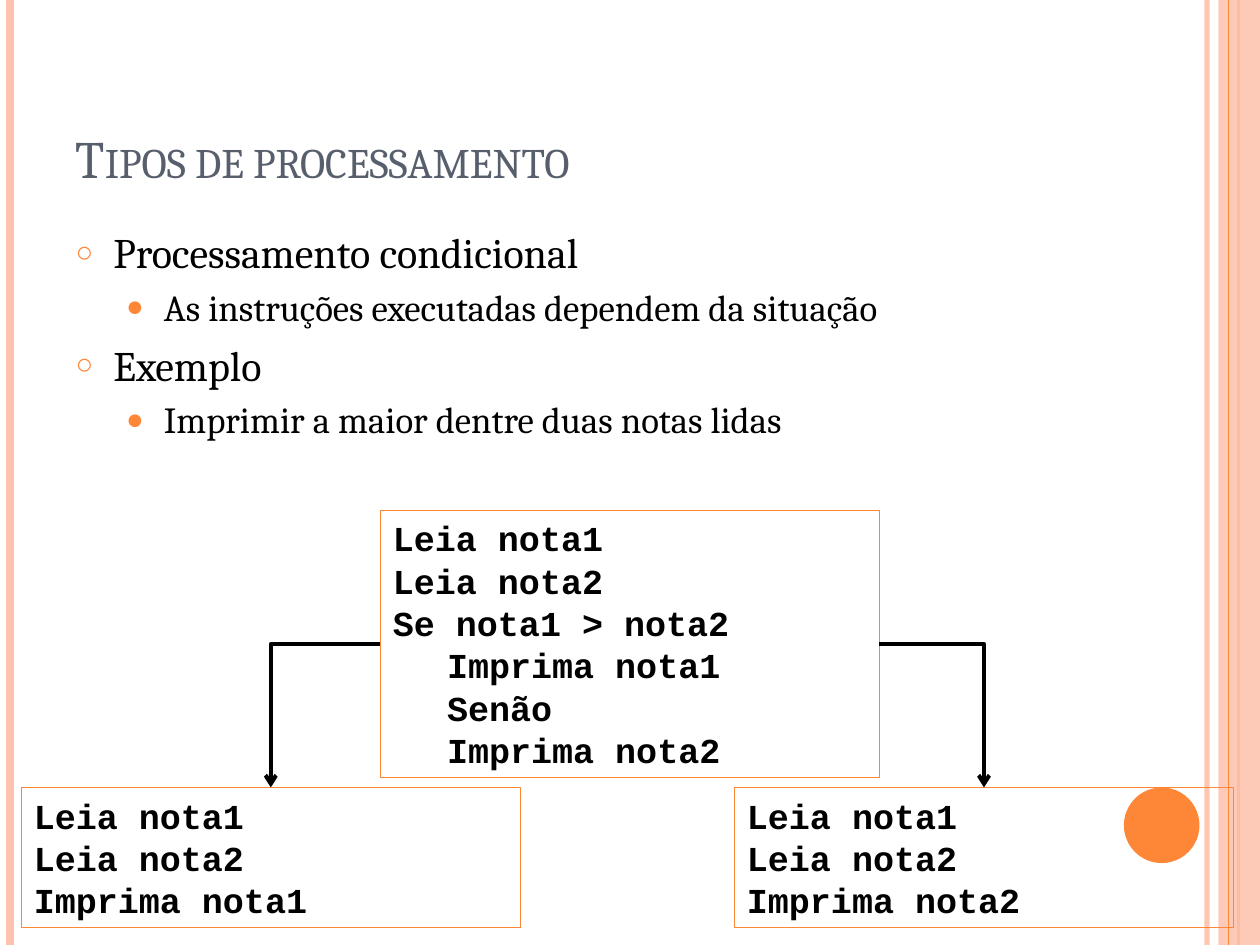
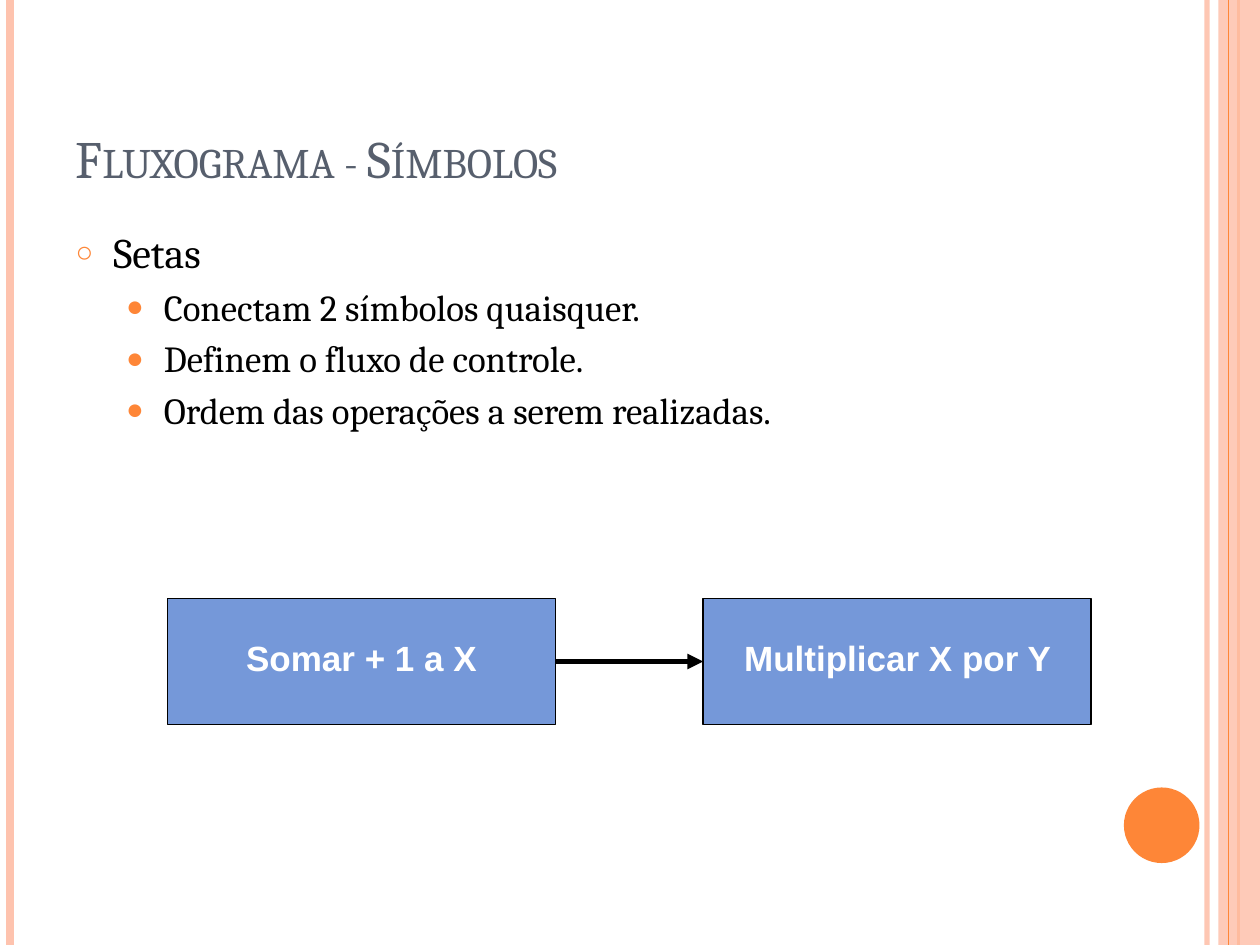
from dataclasses import dataclass
from pptx import Presentation
from pptx import util as u
from pptx.dml import color
from pptx.enum import shapes, text
from pptx.oxml import ns, xmlchemy

Inches, Pt = u.Inches, u.Pt


@dataclass(frozen=True)
class Theme:
    peach: str = "FEC3AE"
    orange: str = "FE8637"
    slate: str = "575F6D"
    blue: str = "7598D9"
    black: str = "000000"
    white: str = "FFFFFF"
    serif: str = "Cambria"
    sans: str = "Arial"
    mono: str = "Courier New"
    title: int = 30
    item: int = 24
    sub: int = 21
    code: int = 20
    pitch: float = 24.2


T = Theme()
BULLETS = (("○", 70000, 0.3), ("●", 80000, 0.7))
CODE_W = 3.96


def rgb(tone):
    return color.RGBColor.from_string(tone)


def add(node, tag, **attrs):
    child = xmlchemy.OxmlElement(tag)
    for name, value in attrs.items():
        child.set(name, str(value))
    node.append(child)
    return child


def fade(shape, percent):
    tone = next(shape.element.spPr.iter(ns.qn("a:srgbClr")))
    add(tone, "a:alpha", val=percent * 1000)


def style(para, face, size, tone, bold=False):
    for run in para.runs:
        font = run.font
        font.name, font.size, font.bold = face, Pt(size), bold
        font.color.rgb = rgb(tone)


def box(slide, kind, area, fill=None, edge=None):
    shape = slide.shapes.add_shape(kind, *map(Inches, area))
    shape.shadow.inherit = False
    if fill:
        shape.fill.solid()
        shape.fill.fore_color.rgb = rgb(fill)
    else:
        shape.fill.background()
    if edge:
        shape.line.color.rgb = rgb(edge)
        shape.line.width = Pt(0.75)
    else:
        shape.line.fill.background()
    return shape


def line(slide, kind, ends, tone, width):
    link = slide.shapes.add_connector(kind, *map(Inches, ends))
    link.line.color.rgb = rgb(tone)
    link.line.width = Pt(width)
    add(link.element.spPr, "a:effectLst")
    return link


def arrow(slide, start, site, end, goal, width, head, bent=False):
    kinds = shapes.MSO_CONNECTOR
    kind = kinds.ELBOW if bent else kinds.STRAIGHT
    link = line(slide, kind, (0, 0, 1, 1), T.black, width)
    link.begin_connect(start, site)
    link.end_connect(end, goal)
    if bent:
        link.element.spPr.find(ns.qn("a:prstGeom")).set("prst", "bentConnector2")
    add(link.line._get_or_add_ln(), "a:tailEnd", type=head)


def place(shape, area):
    shape.left, shape.top, shape.width, shape.height = map(Inches, area)


def decor(slide, layout):
    kinds = shapes.MSO_SHAPE
    rules = [
        line(slide, shapes.MSO_CONNECTOR.STRAIGHT, (x, 0, x, 7.5), tone, width)
        for x, tone, width in (
            (9.58, T.peach, 3),
            (0.08, T.peach, 4.5),
            (9.83, T.orange, 1.5),
            (9.75, T.orange, 0.75),
        )
    ]
    band = box(slide, kinds.RECTANGLE, (9.67, 0, 0.33, 7.5), T.peach)
    disc = box(slide, kinds.OVAL, (8.92, 6.25, 0.6, 0.6), T.orange)
    fade(rules[0], 93)
    fade(band, 87)
    tree = layout.shapes.element
    for at, part in enumerate([*rules[:3], band, rules[3], disc], 2):
        tree.insert(at, part.element)


def frame(layout):
    for holder in list(layout.placeholders):
        if holder.placeholder_format.idx > 1:
            holder.element.getparent().remove(holder.element)
    head, body = layout.placeholders
    place(head, (0.5, 0.3, 8.17, 1.25))
    place(body, (0.5, 1.75, 8.17, 5.33))


def heading(slide, words):
    area = slide.shapes.title.text_frame
    area.text = words
    area.auto_size = text.MSO_AUTO_SIZE.NONE
    area.vertical_anchor = text.MSO_ANCHOR.BOTTOM
    para = area.paragraphs[0]
    para.alignment = text.PP_ALIGN.LEFT
    style(para, T.serif, T.title, T.slate)
    para.runs[0].font._element.set("cap", "small")


def bullets(slide, items):
    area = slide.placeholders[1].text_frame
    area.text = "\n".join(words for _, words in items)
    area.auto_size = text.MSO_AUTO_SIZE.NONE
    for para, (level, _) in zip(area.paragraphs, items):
        para.level = level
        if level == 0:
            para.space_before = Pt(6)
        style(para, T.serif, T.sub if level else T.item, T.black)
        mark, size, margin = BULLETS[level]
        props = para._p.get_or_add_pPr()
        props.set("marL", str(Inches(margin)))
        props.set("indent", str(Inches(-0.3)))
        add(add(props, "a:buClr"), "a:srgbClr", val=T.orange)
        add(props, "a:buSzPct", val=size)
        add(props, "a:buFont", typeface=T.sans)
        add(props, "a:buChar", char=mark)


def code(slide, x, y, height, rows):
    shape = box(slide, shapes.MSO_SHAPE.RECTANGLE, (x, y, CODE_W, height), edge=T.orange)
    area = shape.text_frame
    area.text = "\n".join(words for _, words in rows)
    area.vertical_anchor = text.MSO_ANCHOR.TOP
    for para, (level, _) in zip(area.paragraphs, rows):
        para.alignment = text.PP_ALIGN.LEFT
        para.line_spacing = Pt(T.pitch)
        style(para, T.mono, T.code, T.black, True)
        if level:
            para._p.get_or_add_pPr().set("marL", str(Inches(0.43)))
    return shape


def label(slide, area, words):
    note = slide.shapes.add_textbox(*map(Inches, area)).text_frame
    note.word_wrap = True
    note.text = words
    para = note.paragraphs[0]
    para.alignment = text.PP_ALIGN.CENTER
    style(para, T.sans, T.code, T.white, True)


def types(slide):
    heading(slide, "Tipos de processamento")
    bullets(slide, [
        (0, "Processamento condicional"),
        (1, "As instruções executadas dependem da situação"),
        (0, "Exemplo"),
        (1, "Imprimir a maior dentre duas notas lidas"),
    ])
    reads = [(0, "Leia nota1"), (0, "Leia nota2")]
    test = code(slide, 3.02, 4.05, 2.12, reads + [
        (0, "Se nota1 > nota2"),
        (1, "Imprima nota1"),
        (1, "Senão"),
        (1, "Imprima nota2"),
    ])
    for x, site, words in ((5.83, 3, "Imprima nota2"), (0.17, 1, "Imprima nota1")):
        case = code(slide, x, 6.25, 1.11, reads + [(0, words)])
        arrow(slide, test, site, case, 0, 2.25, "arrow", bent=True)


def symbols(slide):
    heading(slide, "Fluxograma - Símbolos")
    bullets(slide, [
        (0, "Setas"),
        (1, "Conectam 2 símbolos quaisquer."),
        (1, "Definem o fluxo de controle."),
        (1, "Ordem das operações a serem realizadas."),
    ])
    right, left = [
        box(slide, shapes.MSO_SHAPE.RECTANGLE, (x, 4.75, 3.08, 1), T.blue, T.black)
        for x in (5.58, 1.33)
    ]
    label(slide, (1.58, 5, 2.58, 0.43), "Somar + 1 a X")
    label(slide, (5.75, 5, 2.75, 0.43), "Multiplicar X por Y")
    arrow(slide, left, 3, right, 1, 3, "triangle")


def main():
    deck = Presentation()
    deck.slide_width, deck.slide_height = Inches(10), Inches(7.5)
    layout = deck.slide_layouts[1]
    frame(layout)
    first, second = [deck.slides.add_slide(layout) for _ in range(2)]
    decor(first, layout)
    types(first)
    symbols(second)
    deck.save("out.pptx")


if __name__ == "__main__":
    main()
